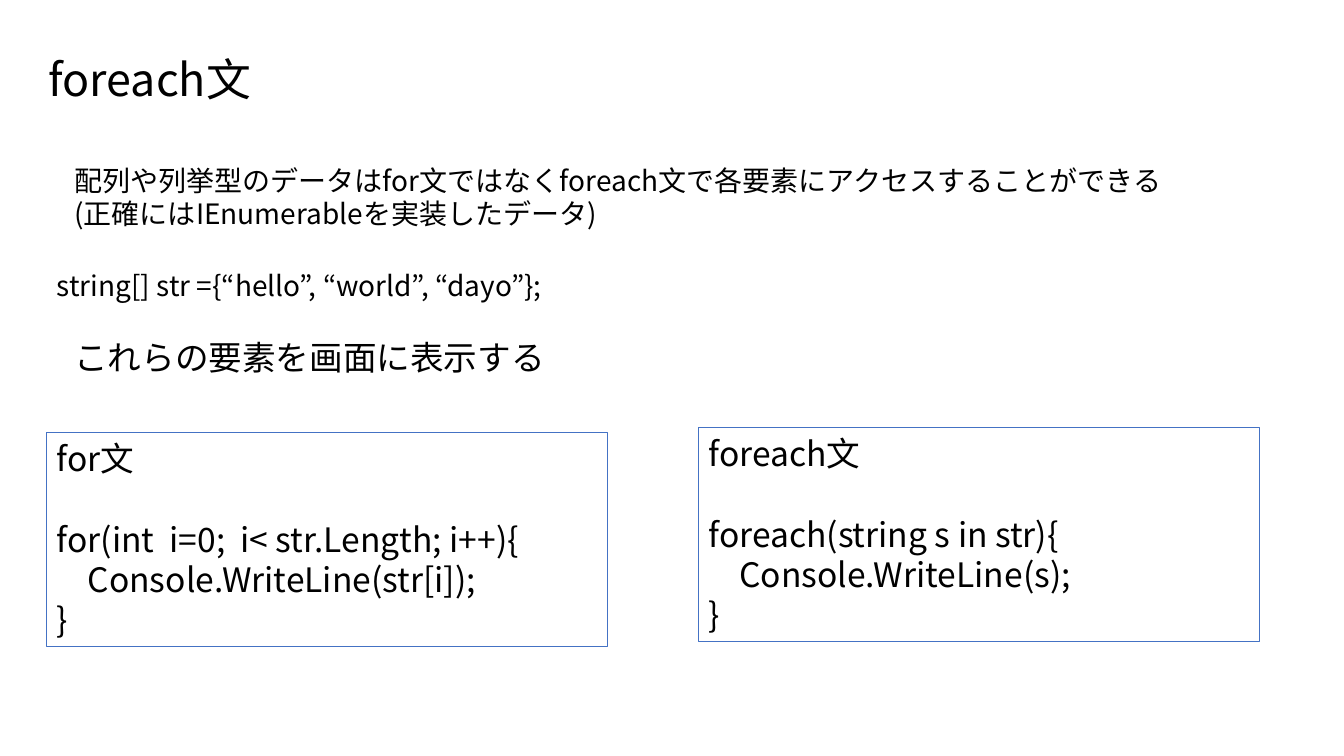
"""Build a slide comparing the for and foreach statements."""
from dataclasses import dataclass

from lxml.etree import SubElement
from pptx import Presentation
from pptx.dml.color import RGBColor
from pptx.enum.shapes import MSO_SHAPE
from pptx.enum.text import MSO_ANCHOR, PP_ALIGN
from pptx.oxml.ns import qn
from pptx.util import Pt


@dataclass(frozen=True)
class Theme:
    """Hold the colours, font and type sizes."""
    font: str = "Noto Sans CJK JP"
    ink: RGBColor = RGBColor(0, 0, 0)
    edge: RGBColor = RGBColor(0x44, 0x72, 0xC4)
    head: int = 32
    code: int = 24
    body: int = 20
    line: float = 0.75
    step: float = 22
    gap: float = 29


THEME = Theme()
TITLE = ("foreach文", (27.5, 33.5, 466, 46))
NOTES = [
    (["配列や列挙型のデータはfor文ではなくforeach文で各要素にアクセスすることができる",
      "(正確にはIEnumerableを実装したデータ)"], (46, 113, 828, 55.5), THEME.body),
    (["string[] str ={“hello”, “world”, “dayo”};"], (33.5, 188, 556, 55.5), THEME.body),
    (["これらの要素を画面に表示する"], (46, 237, 388, 36), THEME.code),
]
CODES = [
    ("for文", ["for(int  i=0;  i< str.Length; i++){", "Console.WriteLine(str[i]);", "}"],
     (33.5, 309)),
    ("foreach文", ["foreach(string s in str){", "Console.WriteLine(s);", "}"],
     (499, 305.5)),
]
PANEL = (400.5, 152.5)


def write(frame, lines, size):
    """Write each line as a paragraph and return the paragraphs."""
    frame.word_wrap = True
    frame.vertical_anchor = MSO_ANCHOR.TOP
    paras = []
    for i, line in enumerate(lines):
        para = frame.add_paragraph() if i else frame.paragraphs[0]
        para.alignment = PP_ALIGN.LEFT
        para.line_spacing = 1.0
        para.space_before = Pt(0)
        run = para.add_run()
        run.text = line
        run.font.size = Pt(size)
        run.font.name = THEME.font
        run.font.color.rgb = THEME.ink
        SubElement(run.font._element, qn("a:ea"), typeface=THEME.font)
        paras.append(para)
    return paras


deck = Presentation()
deck.slide_width, deck.slide_height = Pt(960), Pt(540)
slide = deck.slides.add_slide(deck.slide_layouts[5])

text, place = TITLE
title = slide.shapes.title
title.left, title.top, title.width, title.height = map(Pt, place)
write(title.text_frame, [text], THEME.head)

for lines, place, size in NOTES:
    note = slide.shapes.add_textbox(*map(Pt, place))
    write(note.text_frame, lines, size)

for label, lines, spot in CODES:
    panel = slide.shapes.add_shape(MSO_SHAPE.RECTANGLE, *map(Pt, spot + PANEL))
    panel.shadow.inherit = False
    panel.fill.background()
    panel.line.color.rgb = THEME.edge
    panel.line.width = Pt(THEME.line)
    paras = write(panel.text_frame, [label, *lines], THEME.code)
    paras[1].space_before = Pt(THEME.gap)
    paras[2]._p.get_or_add_pPr().set("marL", str(Pt(THEME.step)))

deck.save("out.pptx")
